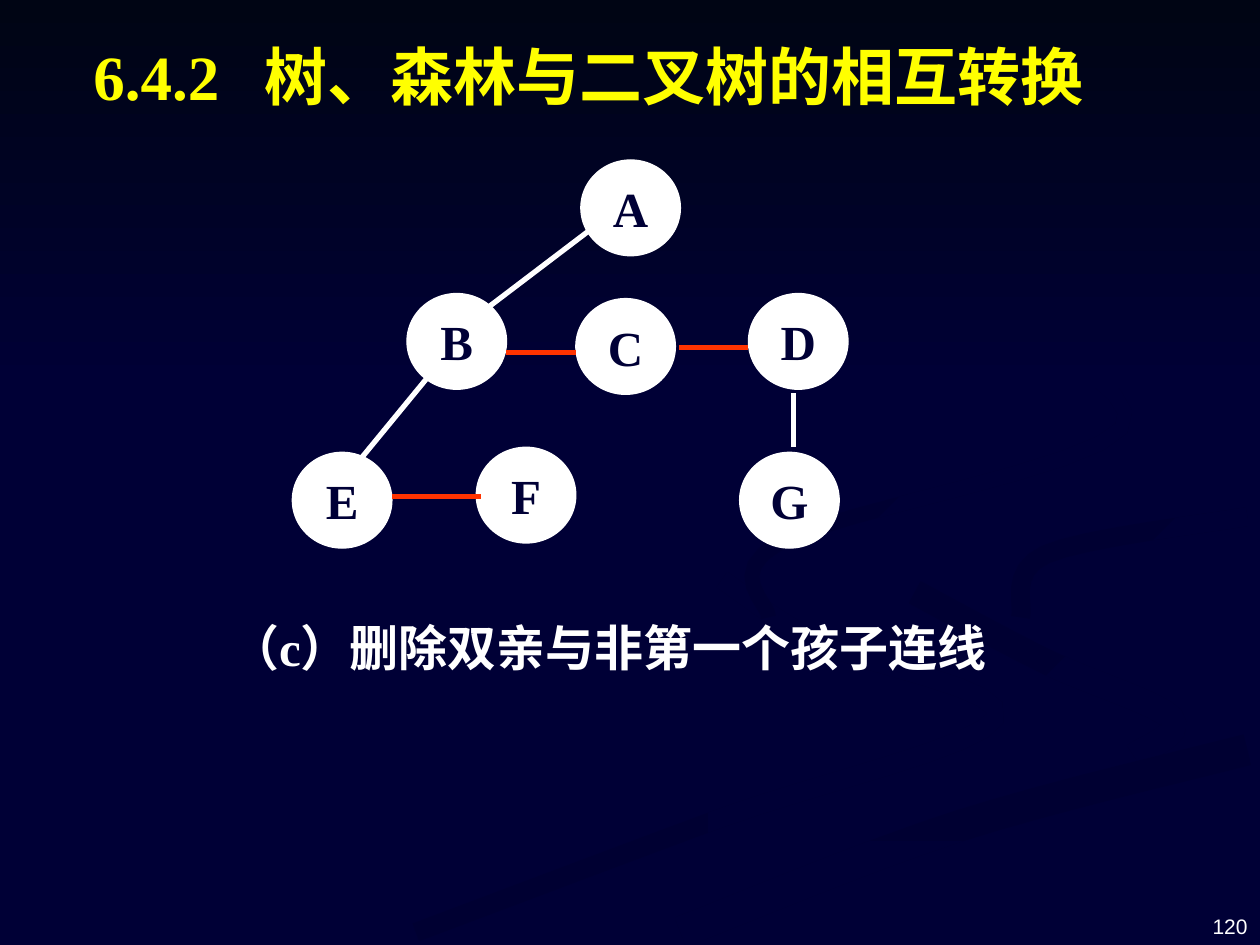
import math
import pptx
import pptx.util
import pptx.dml.color
import pptx.enum.shapes
import pptx.enum.text
import pptx.oxml
import pptx.oxml.ns

Inches, Pt = pptx.util.Inches, pptx.util.Pt
SHAPE = pptx.enum.shapes.MSO_SHAPE
ALIGN = pptx.enum.text.PP_ALIGN
ANCHOR = pptx.enum.text.MSO_ANCHOR

HUES = {"night": "000036", "sky": "000514", "shade": "000032",
        "white": "FFFFFF", "red": "FF3300", "gold": "FFFF00"}
SERIF, SANS = "Times New Roman", "Arial"

TITLE = "6.4.2\t树、森林与二叉树的相互转换"
NOTE = "（c）删除双亲与非第一个孩子连线"
PAGE = "120"

NODE_W, NODE_H = 0.79, 0.76
NODES = {"A": (4.61, 1.27), "B": (3.23, 2.33), "C": (4.57, 2.37), "D": (5.94, 2.33),
         "E": (2.32, 3.59), "F": (3.78, 3.55), "G": (5.87, 3.59)}

# Start x, start y, end x, end y, colour
EDGES = [(4.69, 1.82, 3.86, 2.45, "white"), (3.39, 3, 2.84, 3.67, "white"),
         (6.3, 3.12, 6.3, 3.55, "white"), (4.02, 2.8, 4.57, 2.8, "red"),
         (5.39, 2.76, 5.94, 2.76, "red"), (3.11, 3.94, 3.82, 3.94, "red")]

# Width, clockwise gradient angle, spine of each ribbon
SWIRLS = [
    (0.15, 0, [(5.73, 4.6), (6.5, 5.1), (7.9, 5.7), (5.7, 6.5), (3.3, 7.4)]),
    (0.2, 45, [(7.26, 4.7), (8.3, 5.25), (9.3, 5.7), (9, 6)]),
    (0.25, 90, [(9.9, 5.95), (7.6, 6.56), (5.4, 7.4)]),
    (0.15, 45, [(9.9, 4.1), (8.3, 4.4), (8.1, 4.9)]),
    (0.12, 45, [(7.7, 2.4), (8.9, 3.4), (6.2, 4.3), (6.1, 4.9)]),
]


def rgb(name):
    return pptx.dml.color.RGBColor.from_string(HUES[name])


def write(frame, words, size, hue, font, align, bold=True):
    para = frame.paragraphs[0]
    para.alignment = align
    run = para.add_run()
    run.text = words
    run.font.size, run.font.bold, run.font.name = Pt(size), bold, font
    run.font.color.rgb = rgb(hue)


def add_text(slide, box, anchor, *style):
    frame = slide.shapes.add_textbox(*map(Inches, box)).text_frame
    frame.word_wrap = True
    frame.vertical_anchor = anchor
    write(frame, *style)


def shade(shape, first, last, angle):
    """Give a shape a two-colour gradient at a clockwise angle, and no line."""
    shape.shadow.inherit = False
    shape.line.fill.background()
    shape.fill.gradient()
    shape.fill.gradient_angle = (360 - angle) % 360
    for stop, hue in zip(shape.fill.gradient_stops, (first, last)):
        stop.color.rgb = rgb(hue)


def smooth(spine, steps=8):
    """Return points on a Catmull-Rom curve through the spine."""
    ends = [spine[0], *spine, spine[-1]]
    curve = []
    for a, b, c, d in zip(ends, ends[1:], ends[2:], ends[3:]):
        for step in range(steps):
            t = step / steps
            curve.append(tuple(
                q + t / 2 * (r - p + t * (2 * p - 5 * q + 4 * r - s
                                          + t * (3 * (q - r) + s - p)))
                for p, q, r, s in zip(a, b, c, d)))
    return curve + [spine[-1]]


def add_swirl(slide, width, angle, spine):
    curve = smooth(spine)
    left, right = [], []
    for i, (x, y) in enumerate(curve):
        (x0, y0), (x1, y1) = curve[max(i - 1, 0)], curve[min(i + 1, len(curve) - 1)]
        ratio = width / 2 / math.hypot(x1 - x0, y1 - y0)
        dx, dy = (y0 - y1) * ratio, (x1 - x0) * ratio
        left.append((x + dx, y + dy))
        right.append((x - dx, y - dy))
    rim = left + right[::-1]
    pen = slide.shapes.build_freeform(
        *map(Inches, rim[0]), scale=1.0)
    pen.add_line_segments([(Inches(x), Inches(y)) for x, y in rim[1:]], close=True)
    shade(pen.convert_to_shape(), "shade", "night", angle)


def add_sky(slide):
    sky = slide.shapes.add_shape(
        SHAPE.RECTANGLE, 0, 0, Inches(10), Inches(3.08))
    shade(sky, "sky", "night", 90)


def add_node(slide, name, left, top):
    node = slide.shapes.add_shape(
        SHAPE.OVAL, *map(Inches, (left, top, NODE_W, NODE_H)))
    node.shadow.inherit = False
    node.fill.solid()
    node.fill.fore_color.rgb = rgb("white")
    node.line.color.rgb = rgb("white")
    node.line.width = Pt(0.75)
    frame = node.text_frame
    frame.margin_top = frame.margin_bottom = 0
    frame.vertical_anchor = ANCHOR.MIDDLE
    write(frame, name, 28, "night", SERIF, ALIGN.CENTER)


def add_edge(slide, *ends, hue):
    edge = slide.shapes.add_connector(
        pptx.enum.shapes.MSO_CONNECTOR.STRAIGHT, *map(Inches, ends))
    edge.line.color.rgb = rgb(hue)
    edge.line.width = Pt(3)
    edge.element.spPr.append(pptx.oxml.parse_xml(
        f'<a:effectLst {pptx.oxml.ns.nsdecls("a")}/>'))


def set_title(slide):
    title = slide.shapes.title
    title.left, title.top, title.width, title.height = map(
        Inches, (0.64, 0.25, 8.4, 0.71))
    title.element.getparent().append(title.element)  # in front of the sky
    frame = title.text_frame
    frame.word_wrap = True
    frame.vertical_anchor = ANCHOR.TOP
    props = frame.paragraphs[0]._p.get_or_add_pPr()
    props.append(pptx.oxml.parse_xml(
        f'<a:tabLst {pptx.oxml.ns.nsdecls("a")}>'
        f'<a:tab pos="{Inches(1.36)}" algn="l"/></a:tabLst>'))
    write(frame, TITLE, 36, "gold", SERIF, ALIGN.LEFT)


def main():
    deck = pptx.Presentation()
    deck.slide_width, deck.slide_height = Inches(10), Inches(7.5)
    slide = deck.slides.add_slide(deck.slide_layouts.get_by_name("Title Only"))
    slide.background.fill.solid()
    slide.background.fill.fore_color.rgb = rgb("night")
    for swirl in SWIRLS:
        add_swirl(slide, *swirl)
    add_sky(slide)
    set_title(slide)
    for name, place in NODES.items():
        add_node(slide, name, *place)
    for *ends, hue in EDGES:
        add_edge(slide, *ends, hue=hue)
    add_text(slide, (1.73, 4.85, 7.07, 0.63), ANCHOR.TOP,
             NOTE, 28, "white", SERIF, ALIGN.LEFT)
    add_text(slide, (7.67, 6.98, 2.33, 0.52), ANCHOR.BOTTOM,
             PAGE, 12, "white", SANS, ALIGN.RIGHT, False)
    deck.save("out.pptx")


if __name__ == "__main__":
    main()
